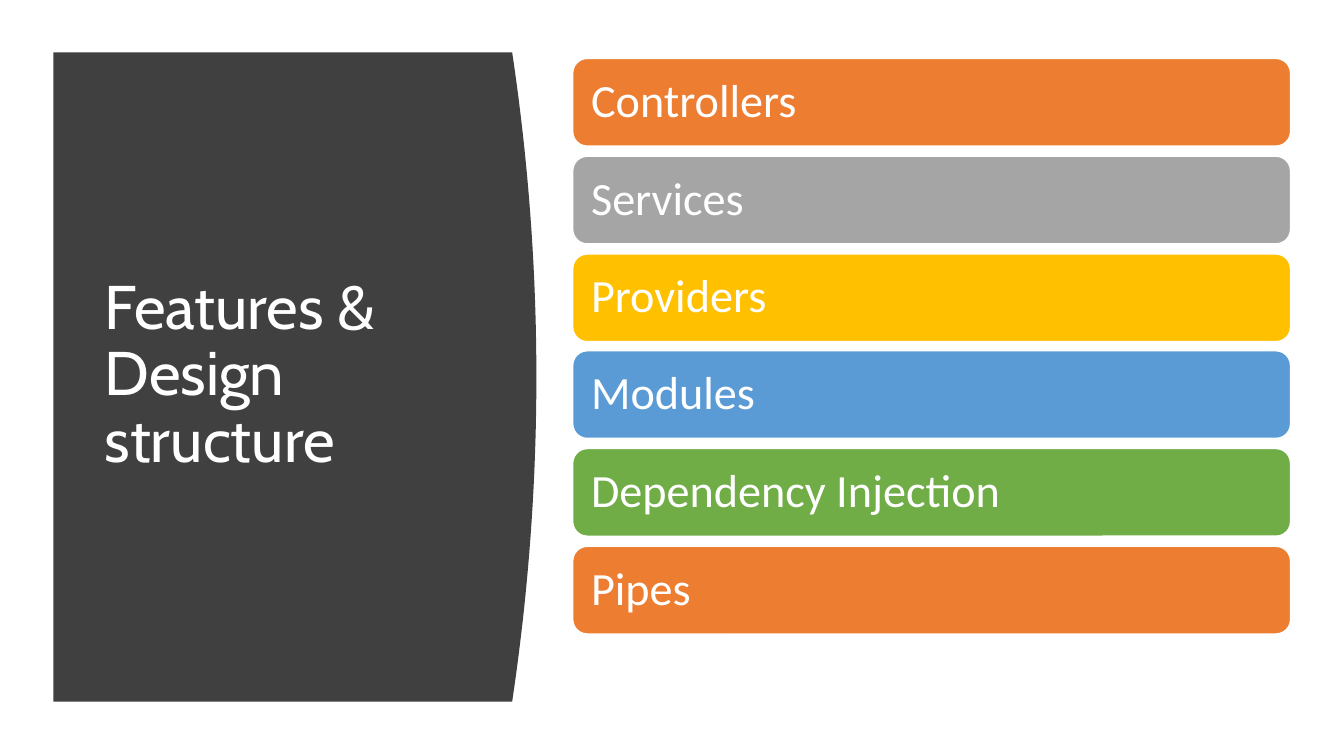
import dataclasses

import pptx
import pptx.dml.color
import pptx.enum.shapes
import pptx.enum.text
import pptx.util

PX = 9144
COLORS = {
    "white": "FFFFFF",
    "dark": "404040",
    "orange": "ED7D31",
    "gray": "A5A5A5",
    "gold": "FFC000",
    "blue": "5B9BD5",
    "green": "70AD47",
}


@dataclasses.dataclass(frozen=True)
class Bar:
    label: str
    color: str


BARS = [
    Bar("Controllers", "orange"),
    Bar("Services", "gray"),
    Bar("Providers", "gold"),
    Bar("Modules", "blue"),
    Bar("Dependency Injection", "green"),
    Bar("Pipes", "orange"),
]


def tint(name: str) -> pptx.dml.color.RGBColor:
    return pptx.dml.color.RGBColor.from_string(COLORS[name])


def paint(shape, fill: str, line: str | None = None) -> None:
    shape.shadow.inherit = False
    shape.fill.solid()
    shape.fill.fore_color.rgb = tint(fill)
    if line:
        shape.line.color.rgb = tint(line)
        shape.line.width = pptx.util.Pt(1)
    else:
        shape.line.fill.background()


def write(shape, text: str, *, font: str, size: int, side: int, edge: int) -> None:
    frame = shape.text_frame
    frame.word_wrap = True
    frame.vertical_anchor = pptx.enum.text.MSO_ANCHOR.MIDDLE
    frame.margin_left = frame.margin_right = side * PX
    frame.margin_top = frame.margin_bottom = edge * PX
    para = frame.paragraphs[0]
    para.alignment = pptx.enum.text.PP_ALIGN.LEFT
    para.line_spacing = 0.9
    run = para.add_run()
    run.text = text
    run.font.name = font
    run.font.size = pptx.util.Pt(size)
    run.font.color.rgb = tint("white")


def draw_panel(slide) -> None:
    left, top, right, low = 53, 52, 508, 696
    bulge, steps = 24, 40
    curve = []
    for step in range(steps + 1):
        part = step / steps
        x = right + bulge * 4 * part * (1 - part)
        y = top + (low - top) * part
        curve.append((round(x * PX), round(y * PX)))
    build = slide.shapes.build_freeform(left * PX, top * PX)
    build.add_line_segments([*curve, (left * PX, low * PX)], close=True)
    paint(build.convert_to_shape(), "dark")


def draw_title(slide) -> None:
    box = slide.shapes.add_textbox(94 * PX, 111 * PX, 374 * PX, 524 * PX)
    write(box, "Features & Design structure", font="Cabin", size=44, side=10, edge=5)


def draw_bar(slide, bar: Bar, top: int) -> None:
    shape = slide.shapes.add_shape(
        pptx.enum.shapes.MSO_SHAPE.ROUNDED_RECTANGLE,
        568 * PX, top * PX, 712 * PX, 87 * PX,
    )
    paint(shape, bar.color, "white")
    write(shape, bar.label, font="Calibri", size=33, side=14, edge=14)


def main() -> None:
    deck = pptx.Presentation()
    deck.slide_width = 1333 * PX
    deck.slide_height = 750 * PX
    slide = deck.slides.add_slide(deck.slide_layouts[6])
    draw_panel(slide)
    draw_title(slide)
    first, span = 58, 484
    for index, bar in enumerate(BARS):
        draw_bar(slide, bar, first + round(span * index / (len(BARS) - 1)))
    deck.save("out.pptx")


if __name__ == "__main__":
    main()
